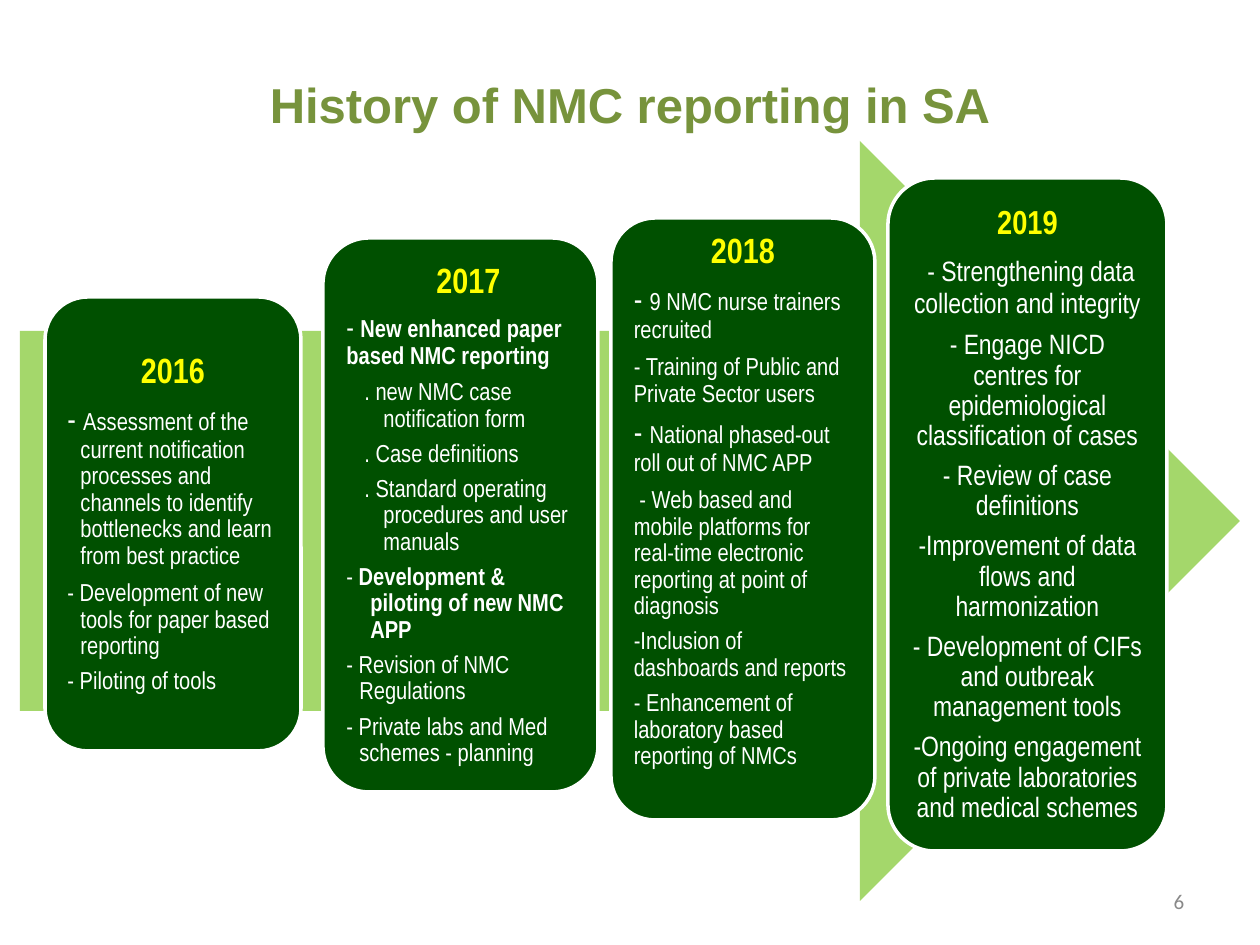
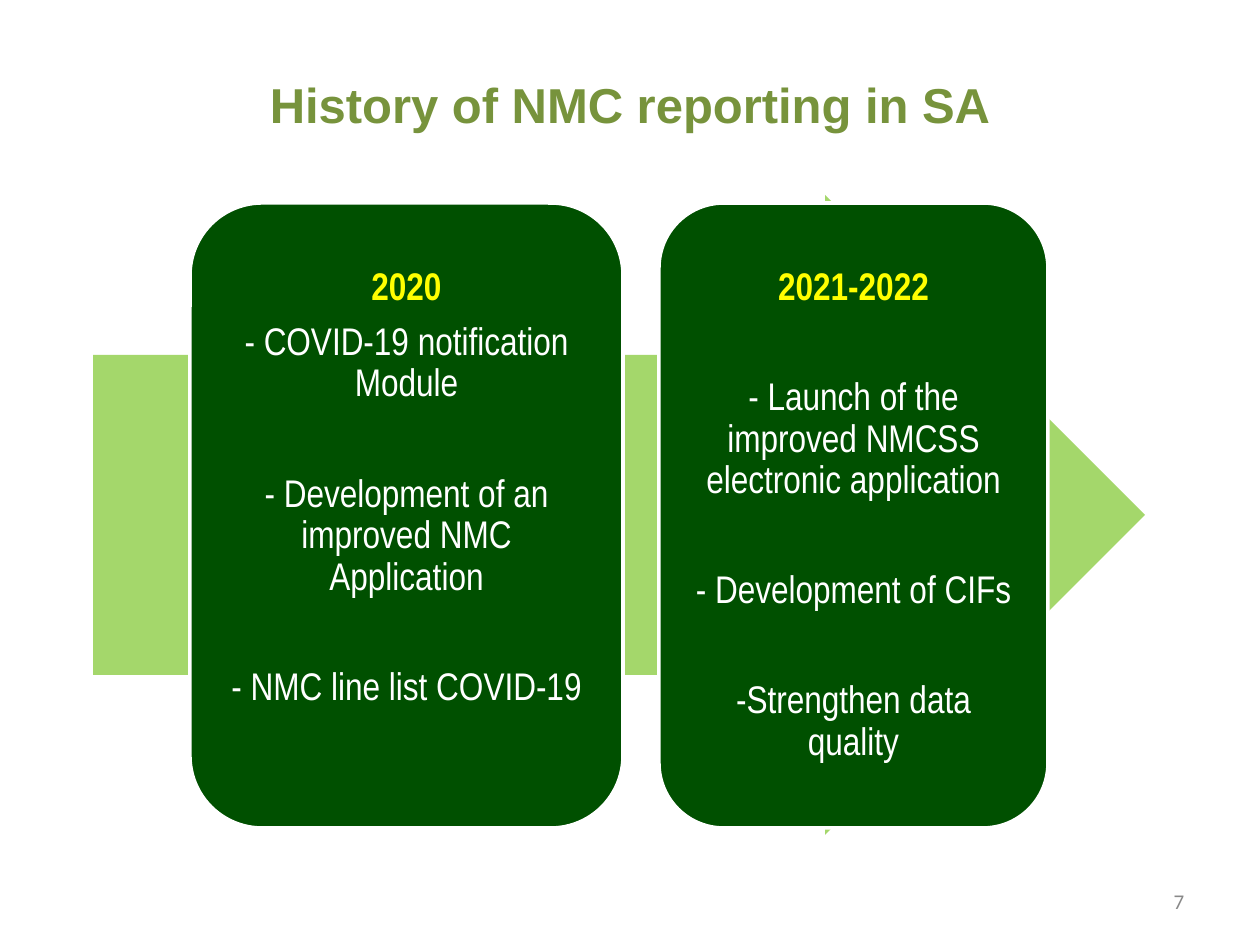
from copy import deepcopy
from dataclasses import dataclass

from pptx import Presentation
from pptx.dml.color import RGBColor
from pptx.enum.shapes import MSO_SHAPE
from pptx.enum.text import MSO_ANCHOR, MSO_AUTO_SIZE, PP_ALIGN
from pptx.util import Emu, Pt

RIGHT_ARROW, ROUNDED = MSO_SHAPE.RIGHT_ARROW, MSO_SHAPE.ROUNDED_RECTANGLE
LEFT, CENTER, RIGHT = PP_ALIGN.LEFT, PP_ALIGN.CENTER, PP_ALIGN.RIGHT
MIDDLE = MSO_ANCHOR.MIDDLE
NO_FIT = MSO_AUTO_SIZE.NONE
TITLE_ONLY_LAYOUT = 5
NUMBER_INDEX = 12
PIXEL = 914400 / 126


@dataclass(frozen=True)
class Theme:
    """Colours, fonts and type sizes shared by the slides."""
    title: str = "77933C"
    arrow: str = "A4D76B"
    card: str = "005000"
    outline: str = "FFFFFF"
    year: str = "FFFF00"
    text: str = "FFFFFF"
    number: str = "898989"
    title_font: str = "Arial"
    card_font: str = "Arial Narrow"
    number_font: str = "Calibri"
    title_size: int = 28
    number_size: int = 12
    outline_width: int = 2
    line_spacing: float = 0.9
    space_ratio: float = 0.35


@dataclass(frozen=True)
class Item:
    """One card paragraph; a dash may be larger than its text."""
    text: str
    dash: str = ""
    dash_size: int = 0
    bold: bool = False
    margin: int = 0
    hang: int = 0


@dataclass(frozen=True)
class Card:
    """One period with its box, type sizes and paragraphs."""
    box: tuple
    year: str
    items: tuple
    year_size: int
    size: int
    align: int = LEFT
    inset: int = 10
    bottom: int = 0
    year_margin: int = 0
    year_gap: int = 0
    item_gap: int = 0


THEME = Theme()


def px(length):
    """Turn picture pixels into EMU."""
    return Emu(round(length * PIXEL))


def place(shape, box):
    """Move a shape to a pixel box."""
    shape.left, shape.top, shape.width, shape.height = map(px, box)


def add_text(paragraph, text, *, size, color, font=THEME.card_font, bold=False):
    """Add one formatted run."""
    run = paragraph.add_run()
    run.text = text
    run.font.size = Pt(size)
    run.font.name = font
    run.font.bold = bold
    run.font.color.rgb = RGBColor.from_string(color)


def format_paragraph(paragraph, *, align, size, gap=0, margin=0, hang=0):
    """Set alignment, spacing and hanging indent."""
    paragraph.alignment = align
    paragraph.line_spacing = THEME.line_spacing
    paragraph.space_before = Pt(0)
    paragraph.space_after = Pt(round(size * THEME.space_ratio + gap, 1))
    properties = paragraph._p.get_or_add_pPr()
    properties.set("marL", str(px(margin)))
    properties.set("indent", str(px(-hang)))


def add_filled_shape(slide, preset, box, color):
    """Add a flat preset shape without outline."""
    shape = slide.shapes.add_shape(preset, *map(px, box))
    shape.shadow.inherit = False
    shape.fill.solid()
    shape.fill.fore_color.rgb = RGBColor.from_string(color)
    shape.line.fill.background()
    return shape


def add_title(slide, text, box):
    """Fill the title placeholder."""
    title = slide.shapes.title
    place(title, box)
    frame = title.text_frame
    frame.auto_size = NO_FIT
    frame.vertical_anchor = MIDDLE
    paragraph = frame.paragraphs[0]
    paragraph.alignment = CENTER
    add_text(paragraph, text, size=THEME.title_size, color=THEME.title,
             font=THEME.title_font, bold=True)


def add_number(slide, number, box):
    """Add the slide number placeholder of the layout."""
    source = next(shape for shape in slide.slide_layout.placeholders
                  if shape.placeholder_format.idx == NUMBER_INDEX)
    slide.shapes.element.append(deepcopy(source.element))
    holder = next(shape for shape in slide.placeholders
                  if shape.placeholder_format.idx == NUMBER_INDEX)
    place(holder, box)
    frame = holder.text_frame
    frame.text = ""
    frame.vertical_anchor = MIDDLE
    paragraph = frame.paragraphs[0]
    paragraph.alignment = RIGHT
    add_text(paragraph, str(number), size=THEME.number_size,
             color=THEME.number, font=THEME.number_font)


def add_card(slide, card):
    """Draw a rounded card with its year and items."""
    shape = add_filled_shape(slide, ROUNDED, card.box, THEME.card)
    shape.line.color.rgb = RGBColor.from_string(THEME.outline)
    shape.line.width = Pt(THEME.outline_width)
    frame = shape.text_frame
    frame.word_wrap = True
    frame.vertical_anchor = MIDDLE
    frame.margin_left = frame.margin_right = frame.margin_top = px(card.inset)
    frame.margin_bottom = px(card.inset + card.bottom)
    paragraph = frame.paragraphs[0]
    format_paragraph(paragraph, align=CENTER, size=card.year_size,
                     gap=card.year_gap, margin=card.year_margin)
    add_text(paragraph, card.year, size=card.year_size, color=THEME.year, bold=True)
    for item in card.items:
        paragraph = frame.add_paragraph()
        dash_size = item.dash_size or card.size
        format_paragraph(paragraph, align=card.align, size=dash_size,
                         gap=card.item_gap, margin=item.margin, hang=item.hang)
        if item.dash:
            add_text(paragraph, item.dash, size=dash_size, color=THEME.text)
        add_text(paragraph, item.text, size=card.size, color=THEME.text, bold=item.bold)


def add_timeline_slide(presentation, number, arrow_box, cards):
    """Build a slide with an arrow behind a row of cards."""
    slide = presentation.slides.add_slide(presentation.slide_layouts[TITLE_ONLY_LAYOUT])
    add_title(slide, "History of NMC reporting in SA", (63, 68, 1134, 72))
    add_number(slide, number, (903, 876, 294, 50))
    add_filled_shape(slide, RIGHT_ARROW, arrow_box, THEME.arrow)
    for card in cards:
        add_card(slide, card)


EARLY_CARDS = (
    Card((45, 297, 256, 454), "2016", (
        Item("Assessment of the current notification processes and channels to "
             "identify bottlenecks and learn from best practice",
             dash="- ", dash_size=18, margin=13, hang=13),
        Item("- Development of new tools for paper based reporting", margin=13, hang=13),
        Item("- Piloting of tools"),
    ), year_size=20, size=14),
    Card((323, 238, 275, 554), "2017", (
        Item("New enhanced paper based NMC reporting", dash="- ", dash_size=16, bold=True),
        Item(". new NMC case notification form", margin=37, hang=19),
        Item(". Case definitions", margin=37, hang=19),
        Item(". Standard operating procedures and user manuals", margin=37, hang=19),
        Item("Development & piloting of new NMC APP", dash="- ", bold=True,
             margin=24, hang=24),
        Item("- Revision of NMC Regulations", margin=13, hang=13),
        Item("- Private labs and Med schemes - planning", margin=13, hang=13),
    ), year_size=20, size=14, year_margin=16),
    Card((611, 218, 264, 602), "2018", (
        Item("9 NMC nurse trainers recruited", dash="- ", dash_size=18),
        Item("- Training of Public and Private Sector users"),
        Item("National phased-out roll out of NMC APP", dash="- ", dash_size=18),
        Item(" - Web based and mobile platforms for real-time electronic "
             "reporting at point of diagnosis"),
        Item("-Inclusion of dashboards and reports"),
        Item("- Enhancement of laboratory based reporting of NMCs"),
    ), year_size=20, size=14, bottom=35),
    Card((888, 178, 279, 673), "2019", (
        Item("- Strengthening data collection and integrity", dash=" ", dash_size=19),
        Item("- Engage NICD centres for epidemiological classification of cases"),
        Item("- Review of case definitions"),
        Item("-Improvement of data flows and harmonization"),
        Item("- Development of CIFs and outbreak management tools"),
        Item("-Ongoing engagement of private laboratories and medical schemes"),
    ), year_size=19, size=16, align=CENTER),
)

RECENT_CARDS = (
    Card((190, 203, 433, 625), "2020", (
        Item("- COVID-19 notification Module"),
        Item("- Development of an improved NMC Application"),
        Item("- NMC line list COVID-19"),
    ), year_size=22, size=22, align=CENTER, inset=11, bottom=55, item_gap=31.5),
    Card((659, 203, 389, 625), "2021-2022", (
        Item("- Launch of the improved NMCSS electronic application"),
        Item("- Development of CIFs"),
        Item("-Strengthen data quality"),
    ), year_size=22, size=22, align=CENTER, inset=11, year_gap=31.5, item_gap=31.5),
)


def main():
    """Build and save the presentation."""
    presentation = Presentation()
    presentation.slide_width, presentation.slide_height = px(1260), px(945)
    add_timeline_slide(presentation, 6, (20, 141, 1220, 760), EARLY_CARDS)
    add_timeline_slide(presentation, 7, (93, 195, 1052, 640), RECENT_CARDS)
    presentation.save("out.pptx")


main()
